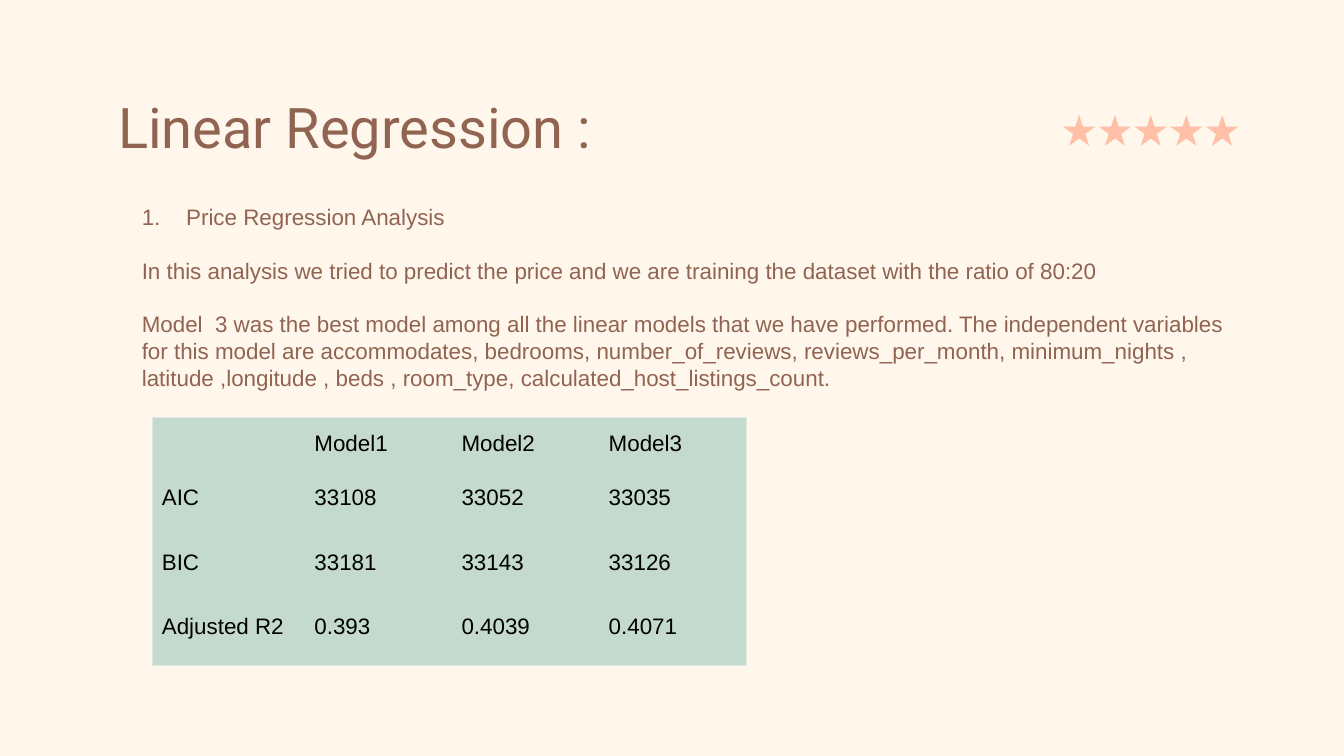
"""Build the linear regression results slide."""
from dataclasses import dataclass

import lxml.etree
import pptx
import pptx.dml.color
import pptx.enum.shapes
import pptx.enum.text
import pptx.oxml
import pptx.oxml.ns
import pptx.util

CREAM = pptx.dml.color.RGBColor(0xFF, 0xF6, 0xEC)
PEACH = pptx.dml.color.RGBColor(0xFF, 0xC0, 0xA7)
BROWN = pptx.dml.color.RGBColor(0x91, 0x64, 0x52)
SAGE = pptx.dml.color.RGBColor(0xC4, 0xDA, 0xCF)
MIST = pptx.dml.color.RGBColor(0xE0, 0xE8, 0xE4)
BLACK = pptx.dml.color.RGBColor(0, 0, 0)

SLIDE_WIDTH = pptx.util.Inches(10)
SLIDE_HEIGHT = SLIDE_WIDTH * 9 // 16
LINE_PITCH = pptx.util.Pt(14.4)
LIST_INDENT = 3.3
STAR_COUNT = 5
STAR_STEP = 2.66


@dataclass(frozen=True)
class Area:
    """A rectangle in percent of the slide's width and height."""

    left: float
    top: float
    width: float
    height: float

    def emu(self) -> tuple[int, int, int, int]:
        return across(self.left), down(self.top), across(self.width), down(self.height)


@dataclass(frozen=True)
class BodyLine:
    text: str
    numbered: bool = False


TITLE_AREA = Area(7.8, 10.49, 84.4, 11.2)
BODY_AREA = Area(7.85, 25.07, 84.4, 67.73)
FIRST_STAR = Area(79.1, 15.2, 2.4, 4.09)
TABLE_AREA = Area(11.35, 55.22, 44.2, 32.7)
COLUMN_WIDTHS = (11.35, 10.95, 10.95, 10.95)
ROW_HEIGHTS = (7.11, 8.53, 8.53, 8.53)

BODY_LINES = (
    BodyLine("Price Regression Analysis", numbered=True),
    BodyLine("In this analysis we tried to predict the price and we are training "
             "the dataset with the ratio of 80:20"),
    BodyLine("Model  3 was the best model among all the linear models that we have "
             "performed. The independent variables for this model are accommodates, "
             "bedrooms, number_of_reviews, reviews_per_month, minimum_nights , "
             "latitude ,longitude , beds , room_type, calculated_host_listings_count."),
)
SCORES = (
    ("", "Model1", "Model2", "Model3"),
    ("AIC", "33108", "33052", "33035"),
    ("BIC", "33181", "33143", "33126"),
    ("Adjusted R2", "0.393", "0.4039", "0.4071"),
)


def across(percent: float) -> int:
    return round(SLIDE_WIDTH * percent / 100)


def down(percent: float) -> int:
    return round(SLIDE_HEIGHT * percent / 100)


def write(paragraph, text: str, *, font="Arial", size=12, color=BROWN,
          align=pptx.enum.text.PP_ALIGN.LEFT, before=0, after=0, pitch=1.0) -> None:
    paragraph.alignment = align
    paragraph.line_spacing = pitch
    paragraph.space_before = pptx.util.Pt(before)
    paragraph.space_after = pptx.util.Pt(after)
    run = paragraph.add_run()
    run.text = text
    run.font.name = font
    run.font.size = pptx.util.Pt(size)
    run.font.color.rgb = color


def place(placeholder, area: Area):
    placeholder.left, placeholder.top, placeholder.width, placeholder.height = area.emu()
    frame = placeholder.text_frame
    frame.word_wrap = True
    frame.auto_size = pptx.enum.text.MSO_AUTO_SIZE.NONE
    frame.vertical_anchor = pptx.enum.text.MSO_ANCHOR.TOP
    frame.margin_left = frame.margin_right = pptx.util.Inches(0.1)
    frame.margin_top = frame.margin_bottom = pptx.util.Inches(0.1)
    return frame


def set_list_style(paragraph, numbered: bool) -> None:
    properties = paragraph._p.get_or_add_pPr()
    properties.set("marL", str(across(5 if numbered else 1.7)))
    properties.set("indent", str(across(-LIST_INDENT if numbered else 0)))
    tag = "a:buAutoNum" if numbered else "a:buNone"
    bullet = lxml.etree.SubElement(properties, pptx.oxml.ns.qn(tag))
    if numbered:
        bullet.set("type", "arabicPeriod")


def fill_body(frame, lines: tuple[BodyLine, ...]) -> None:
    for index, line in enumerate(lines):
        paragraph = frame.add_paragraph() if index else frame.paragraphs[0]
        write(paragraph, line.text, before=14.4 if index else 0, pitch=LINE_PITCH)
        set_list_style(paragraph, line.numbered)


def draw_stars(slide, first: Area) -> None:
    for index in range(STAR_COUNT):
        area = Area(first.left + index * STAR_STEP, first.top, first.width, first.height)
        star = slide.shapes.add_shape(
            pptx.enum.shapes.MSO_SHAPE.STAR_5_POINT, *area.emu())
        star.shadow.inherit = False
        star.fill.solid()
        star.fill.fore_color.rgb = PEACH
        star.line.fill.background()


def set_borders(cell, outer: dict[str, bool]) -> None:
    properties = cell._tc.get_or_add_tcPr()
    for side, visible in outer.items():
        line = lxml.etree.SubElement(properties, pptx.oxml.ns.qn(f"a:ln{side}"))
        line.set("w", str(pptx.util.Pt(0.75)))
        kind = "a:solidFill" if visible else "a:noFill"
        paint = lxml.etree.SubElement(line, pptx.oxml.ns.qn(kind))
        if visible:
            lxml.etree.SubElement(paint, pptx.oxml.ns.qn("a:srgbClr")).set("val", str(MIST))


def draw_scores(slide, scores: tuple[tuple[str, ...], ...]) -> None:
    last_row, last_column = len(scores) - 1, len(scores[0]) - 1
    table = slide.shapes.add_table(
        last_row + 1, last_column + 1, *TABLE_AREA.emu()).table
    table.first_row = table.horz_banding = False
    for column, width in zip(table.columns, COLUMN_WIDTHS):
        column.width = across(width)
    for row, height in zip(table.rows, ROW_HEIGHTS):
        row.height = down(height)
    for r, values in enumerate(scores):
        for c, value in enumerate(values):
            cell = table.cell(r, c)
            set_borders(cell, {"L": c == 0, "R": c == last_column,
                               "T": r == 0, "B": r == last_row})
            cell.fill.solid()
            cell.fill.fore_color.rgb = SAGE
            if value:
                cell.margin_left = cell.margin_right = pptx.util.Inches(0.07)
                cell.margin_top = cell.margin_bottom = pptx.util.Inches(0.1)
                write(cell.text_frame.paragraphs[0], value, color=BLACK, after=6,
                      align=pptx.enum.text.PP_ALIGN.JUSTIFY)


def main() -> None:
    deck = pptx.Presentation()
    deck.slide_width, deck.slide_height = SLIDE_WIDTH, SLIDE_HEIGHT
    slide = deck.slides.add_slide(deck.slide_layouts[1])
    slide.background.fill.solid()
    slide.background.fill.fore_color.rgb = CREAM
    title = place(slide.shapes.title, TITLE_AREA)
    write(title.paragraphs[0], "Linear Regression :", font="Roboto", size=30)
    fill_body(place(slide.placeholders[1], BODY_AREA), BODY_LINES)
    draw_stars(slide, FIRST_STAR)
    draw_scores(slide, SCORES)
    deck.save("out.pptx")


if __name__ == "__main__":
    main()
